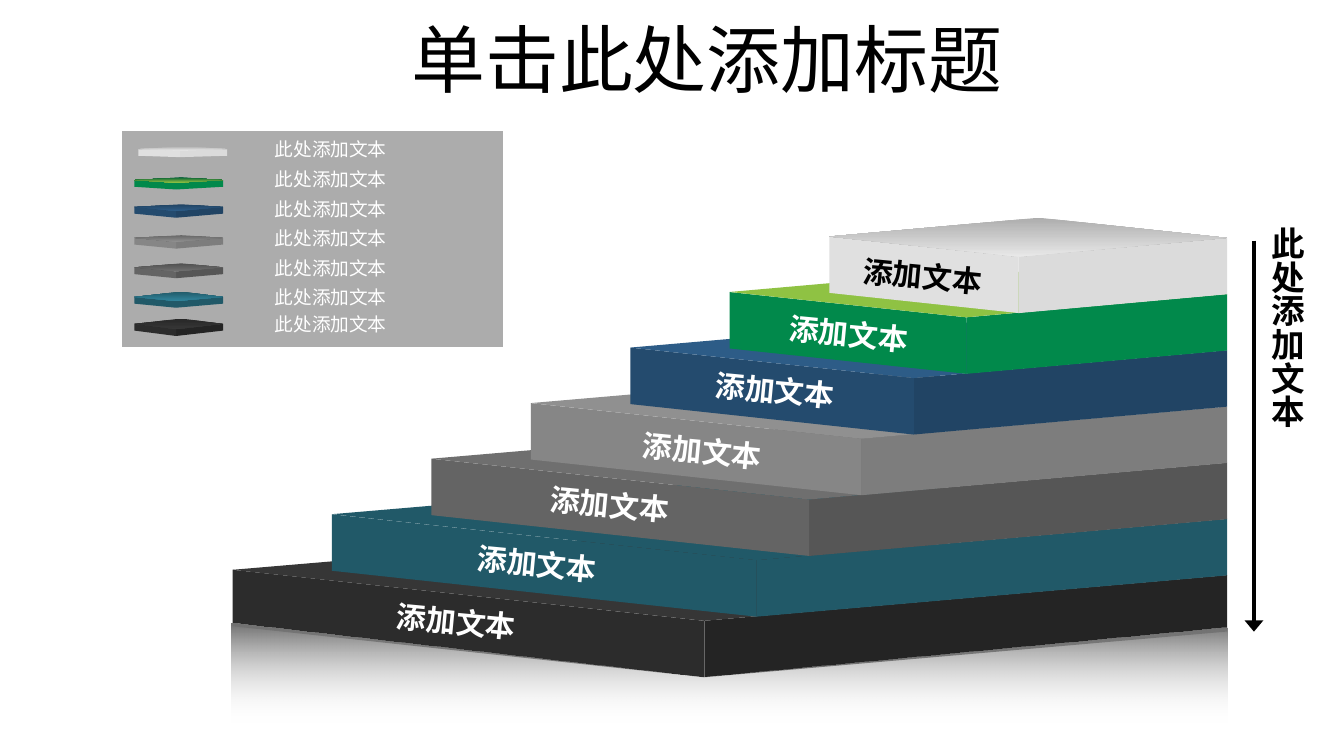
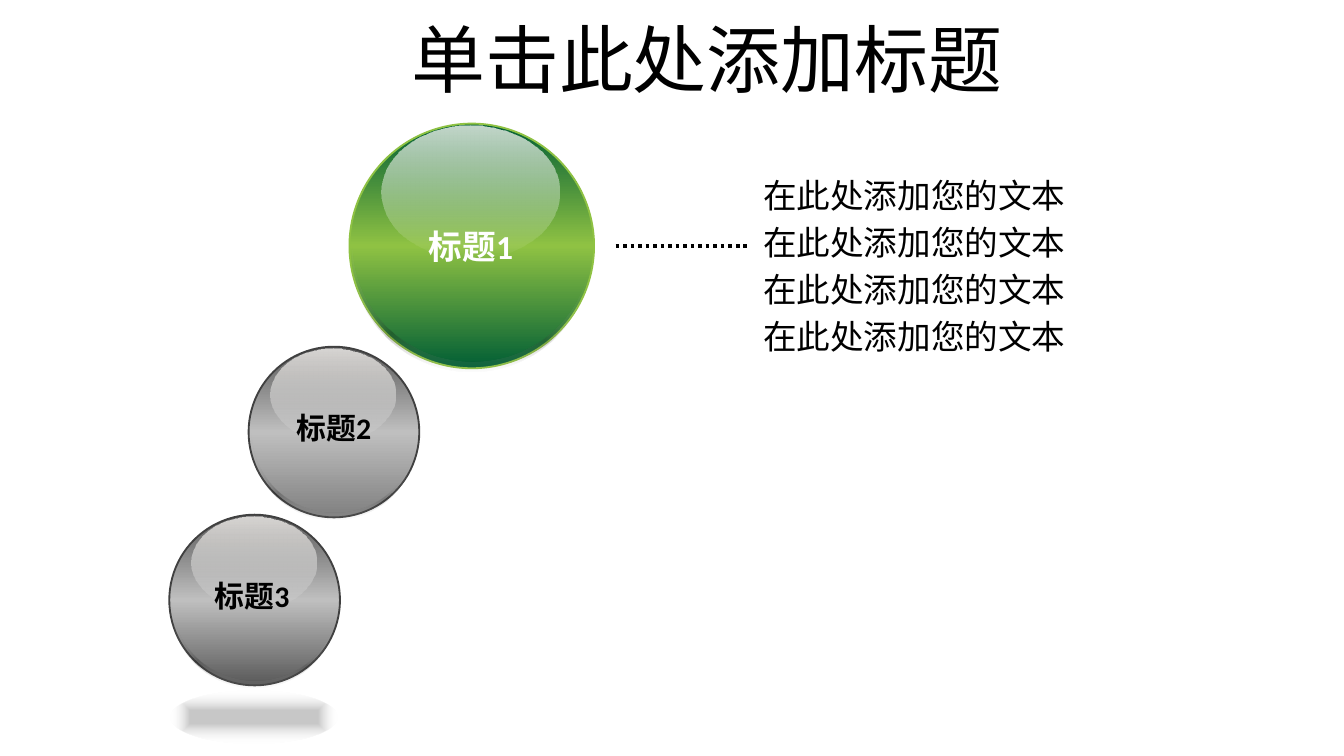
from lxml import etree
from pptx import Presentation
from pptx.dml.color import RGBColor
from pptx.enum.dml import MSO_LINE
from pptx.enum.shapes import MSO_CONNECTOR, MSO_SHAPE
from pptx.enum.text import MSO_ANCHOR, MSO_AUTO_SIZE, PP_ALIGN
from pptx.oxml.ns import qn
from pptx.util import Inches, Pt

CENTER, LEFT = PP_ALIGN.CENTER, PP_ALIGN.LEFT
TOP, MIDDLE = MSO_ANCHOR.TOP, MSO_ANCHOR.MIDDLE
GROW = MSO_AUTO_SIZE.SHAPE_TO_FIT_TEXT
RECTANGLE, OVAL, MOON = MSO_SHAPE.RECTANGLE, MSO_SHAPE.OVAL, MSO_SHAPE.MOON
STRAIGHT, DOTTED = MSO_CONNECTOR.STRAIGHT, MSO_LINE.ROUND_DOT

BLACK, WHITE = "000000", "FFFFFF"
TITLE_FONT, LABEL_FONT, BODY_FONT = "DejaVu Sans", "Noto Sans CJK SC", "Calibri"
TITLE = "单击此处添加标题"
GLOSS = [(0, "FFFCF9", 77), (100, WHITE, 0)]
RIM_SHADE = [(24, BLACK, 24), (100, WHITE, 0)]
FLOOR_SHADE = [(24, BLACK, 22), (100, WHITE, 0)]

# Bottom step first: left face, right face, top shade, top, label left and top
STEPS = [
    ("2C2C2C", "242424", "272727", "363636", 2.73, 4.44),
    ("215968", "215968", "215968", "31859C", 3.33, 4.01),
    ("646464", "565656", "4F4F4F", "6F6F6F", 3.87, 3.57),
    ("868686", "7D7D7D", "676767", "909090", 4.56, 3.17),
    ("244B6E", "214464", "204261", "2D5C87", 5.1, 2.72),
    ("01894B", "01894B", "015E35", "8FC243", 5.65, 2.3),
    ("E0E0E0", "DBDBDB", "ADADAD", "E8E8E8", 6.2, 1.87),
]
FLAT_TOPS = {"31859C": "215968"}

# Top surface corners (back, left, front, right) of the end steps
BOTTOM_SURFACE = [(5.62, 3.91), (1.73, 4.24), (5.24, 4.62), (9.13, 4.28)]
TOP_SURFACE = [(7.73, 1.62), (6.17, 1.76), (7.58, 1.91), (9.13, 1.77)]

# Top row first: left, side height, rise to the back, drop to the front, label top
LEGEND_ROWS = [
    (1.03, 1.11, 0.02, 0.01, 0.98),
    (1, 1.34, 0.02, 0.02, 1.2),
    (1, 1.54, 0.02, 0.03, 1.42),
    (1, 1.77, 0.02, 0.03, 1.64),
    (1, 1.99, 0.03, 0.03, 1.86),
    (1, 2.21, 0.04, 0.03, 2.08),
    (1, 2.41, 0.04, 0.04, 2.28),
]


def rgb(color):
    return RGBColor.from_string(color)


def add_xml(parent, tag, **attributes):
    return etree.SubElement(parent, qn(tag), attributes)


def percent(value):
    return str(round(value * 1000))


def between(start, end, share):
    """Corners lying a given share of the way from start to end."""
    return [(x1 + (x2 - x1) * share, y1 + (y2 - y1) * share)
            for (x1, y1), (x2, y2) in zip(start, end)]


class Deck:
    def __init__(self):
        self.prs = Presentation()
        self.prs.slide_width = Inches(10)
        self.prs.slide_height = Inches(10 * 9 / 16)
        self.slide = None

    def new_slide(self, title):
        self.slide = self.prs.slides.add_slide(self.prs.slide_layouts[6])
        self.text((0.76, 0.21, 9, 0.44), [title], 39.6, TITLE_FONT,
                  anchor=MIDDLE, grow=False)

    def paint(self, shape, fill, line=None, alpha=None, radial=False):
        """Fill with a hex colour or a list of (position, colour[, alpha]) stops."""
        shape.shadow.inherit = False
        if line:
            shape.line.color.rgb = rgb(line)
            shape.line.width = Pt(1)
        else:
            shape.line.fill.background()
        if isinstance(fill, str):
            shape.fill.solid()
            shape.fill.fore_color.rgb = rgb(fill)
            if alpha is not None:
                color = shape.element.spPr.find(qn("a:solidFill"))[0]
                add_xml(color, "a:alpha", val=percent(alpha))
            return
        shape.fill.gradient()
        gradient = shape.element.spPr.find(qn("a:gradFill"))
        for child in list(gradient):
            gradient.remove(child)
        stops = add_xml(gradient, "a:gsLst")
        for position, color, *opacity in fill:
            stop = add_xml(stops, "a:gs", pos=percent(position))
            color_node = add_xml(stop, "a:srgbClr", val=color)
            if opacity:
                add_xml(color_node, "a:alpha", val=percent(opacity[0]))
        if radial:
            focus = add_xml(gradient, "a:path", path="shape")
            add_xml(focus, "a:fillToRect", **dict.fromkeys("ltrb", percent(50)))
        else:
            add_xml(gradient, "a:lin", ang="5400000", scaled="0")

    def preset(self, kind, box, fill, rotation=0, **style):
        shape = self.slide.shapes.add_shape(kind, *map(Inches, box))
        shape.rotation = rotation
        self.paint(shape, fill, **style)
        return shape

    def polygon(self, points, fill):
        corners = [(Inches(x), Inches(y)) for x, y in points]
        builder = self.slide.shapes.build_freeform(*corners[0], scale=1.0)
        builder.add_line_segments(corners[1:], close=True)
        self.paint(builder.convert_to_shape(), fill)

    def slab(self, surface, thickness, left_fill, right_fill, top_fill):
        """A box seen from its front edge, given its top surface corners."""
        _, left, front, right = surface
        for (x1, y1), (x2, y2), fill in ((front, right, right_fill),
                                         (left, front, left_fill)):
            self.polygon([(x1, y1), (x1, y1 + thickness),
                          (x2, y2 + thickness), (x2, y2)], fill)
        self.polygon(surface, top_fill)

    def line(self, start, end, dash=None, arrow=False):
        connector = self.slide.shapes.add_connector(
            STRAIGHT, *map(Inches, (*start, *end)))
        connector.line.color.rgb = rgb(BLACK)
        connector.line.width = Pt(2)
        if dash:
            connector.line.dash_style = dash
        properties = connector.element.spPr
        if arrow:
            add_xml(properties.find(qn("a:ln")), "a:tailEnd", type="triangle",
                    w="lg", len="med")
        add_xml(properties, "a:effectLst")

    def text(self, box, lines, size, font, color=BLACK, bold=False,
             align=CENTER, anchor=TOP, rotation=0, grow=True, gap=0):
        shape = self.slide.shapes.add_textbox(*map(Inches, box))
        shape.rotation = rotation
        frame = shape.text_frame
        frame.word_wrap = True
        frame.vertical_anchor = anchor
        if grow:
            frame.auto_size = GROW
        frame.text = "\n".join(lines)
        for index, paragraph in enumerate(frame.paragraphs):
            paragraph.alignment = align
            if index and gap:
                paragraph.space_before = Pt(gap)
            for run in paragraph.runs:
                run.font.size = Pt(size)
                run.font.bold = bold
                run.font.name = font
                run.font.color.rgb = rgb(color)
                add_xml(run.font._element, "a:ea", typeface=font)
        return frame

    def ball(self, left, top, size, fill, rim):
        """A glossy ball: body, highlight above and shaded rim below."""
        def part(x, y, width, height):
            return left + x * size, top + y * size, width * size, height * size

        self.preset(OVAL, part(0, 0, 1, 1), fill, line=rim)
        self.preset(OVAL, part(0.13, 0.01, 0.73, 0.54), GLOSS)
        shade = self.preset(MOON, part(0.24, 0.3, 0.46, 0.96), RIM_SHADE,
                            rotation=276.2, radial=True)
        shade.adjustments[0] = 0.09


def build_steps(deck):
    deck.new_slide(TITLE)
    deck.line((9.33, 1.79), (9.33, 4.7), arrow=True)
    side_label = deck.text((9.28, 1.59, 0.5, 2.51), ["此处添加文本"], 18, LABEL_FONT,
                           bold=True, align=LEFT, grow=False)
    side_label.margin_top = Inches(0.1)
    side_label._txBody.bodyPr.set("vert", "eaVert")

    deck.preset(RECTANGLE, (0.9, 0.97, 2.85, 1.62), "828282", line=WHITE, alpha=66)
    for (x, y, rise, drop, label_top), step in zip(LEGEND_ROWS, reversed(STEPS)):
        left_face, right_face, shade, top = step[:4]
        surface = [(x + 0.35, y - rise), (x, y), (x + 0.31, y + drop), (x + 0.66, y)]
        deck.slab(surface, 0.05, left_face, right_face, [(0, shade), (100, top)])
        deck.text((1.79, label_top, 1.34, 0.27), ["此处添加文本"], 10,
                  LABEL_FONT, WHITE)

    last = len(STEPS) - 1
    for level, (left_face, right_face, shade, top, x, y) in enumerate(STEPS):
        surface = between(BOTTOM_SURFACE, TOP_SURFACE, level / last)
        highest = level == last
        cover = [(0, shade), (100, top)] if highest else FLAT_TOPS.get(top, top)
        deck.slab(surface, 0.42, left_face, right_face, cover)
        deck.text((x, y, 1.33, 0.37), ["添加文本"], 16, LABEL_FONT,
                  BLACK if highest else WHITE, bold=True, rotation=5.4)

    deck.polygon([(1.77, 4.64), (5.24, 5.04), (9.13, 4.67), (9.13, 5.38),
                  (1.72, 5.38), (1.72, 4.64)], [(0, "717171"), (100, "FBFBFB", 0)])


def build_balls(deck):
    deck.new_slide(TITLE)
    balls = [
        (2.6, 0.92, 1.82, ("015E35", "8FC243", "015E35"), "8FC243",
         "标题1", (3.01, 1.63, 0.99, 0.4), 18, WHITE),
        (1.85, 2.58, 1.27, ("595959", "BFBFBF", "808080"), "404040",
         "标题2", (1.97, 3, 1.03, 0.37), 16, BLACK),
        (1.26, 3.83, 1.27, ("595959", "BFBFBF", "595959"), "404040",
         "标题3", (1.33, 4.25, 1.09, 0.37), 16, BLACK),
    ]
    for left, top, size, colors, rim, heading, box, points, color in balls:
        deck.ball(left, top, size, list(zip((0, 50, 100), colors)), rim)
        deck.text(box, [heading], points, BODY_FONT, color, bold=True, anchor=MIDDLE)
    deck.preset(OVAL, (1.27, 5.14, 1.24, 0.39), FLOOR_SHADE, radial=True)

    deck.text((5.58, 1.25, 3, 1.49), ["在此处添加您的文本"] * 4, 18, BODY_FONT,
              align=LEFT, gap=3.6)
    deck.line((4.58, 1.83), (5.58, 1.83), dash=DOTTED)


def main():
    deck = Deck()
    build_steps(deck)
    build_balls(deck)
    deck.prs.save("out.pptx")


if __name__ == "__main__":
    main()
